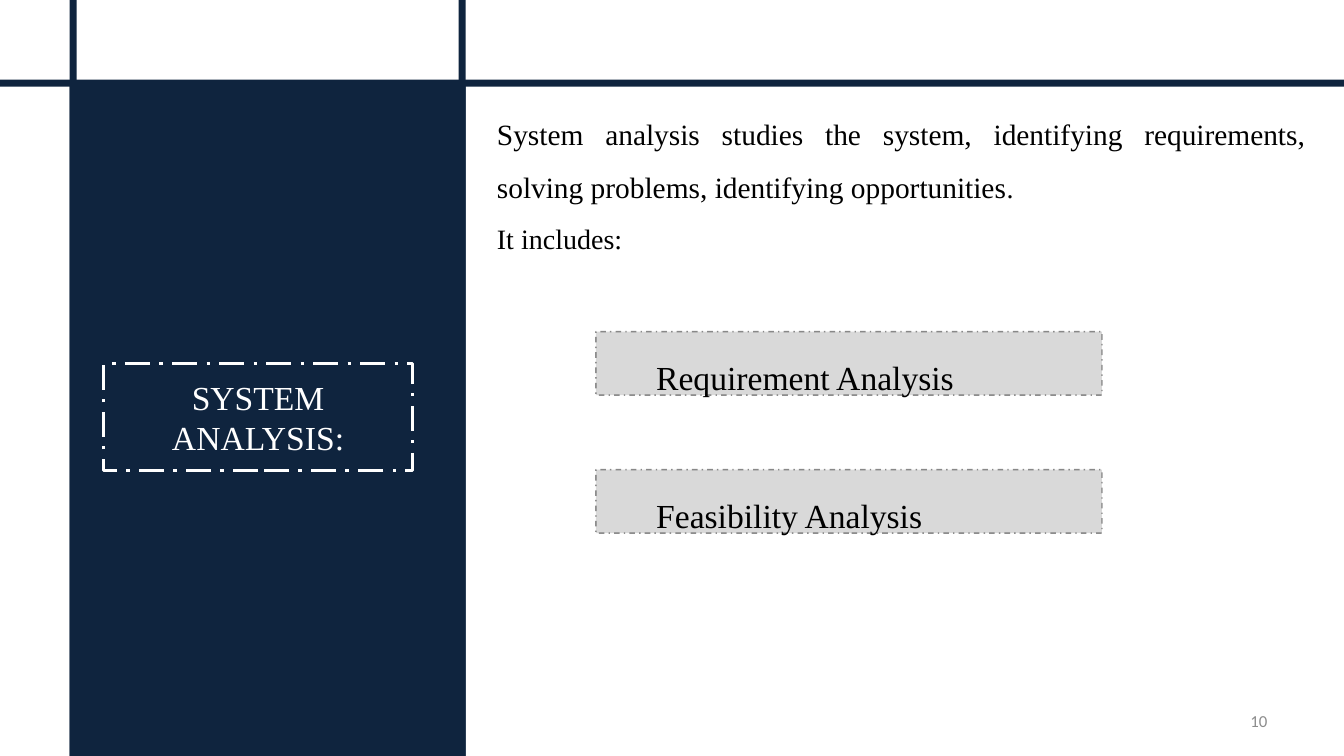
from lxml.etree import SubElement
from pptx import Presentation
from pptx.dml.color import RGBColor
from pptx.enum.dml import MSO_LINE
from pptx.enum.shapes import MSO_SHAPE
from pptx.enum.text import MSO_ANCHOR, MSO_AUTO_SIZE, PP_ALIGN
from pptx.oxml.ns import qn
from pptx.util import Inches, Pt

COLORS = {
    "navy": "0F243E",
    "white": "FFFFFF",
    "black": "000000",
    "box": "D9D9D9",
    "box_line": "0D0D0D",
    "number": "8C8C8C",
}
SERIF = "Times New Roman"
BAR = 0.07


def color(name):
    return RGBColor.from_string(COLORS[name])


def add_rectangle(slide, left, top, width, height, fill):
    shape = slide.shapes.add_shape(
        MSO_SHAPE.RECTANGLE, Inches(left), Inches(top), Inches(width), Inches(height)
    )
    shape.shadow.inherit = False
    shape.fill.solid()
    shape.fill.fore_color.rgb = color(fill)
    shape.line.fill.background()
    return shape


def set_outline(shape, line_color, width, dash):
    shape.line.color.rgb = color(line_color)
    shape.line.width = Pt(width)
    shape.line.dash_style = dash


def set_frame(shape, anchor):
    frame = shape.text_frame
    frame.word_wrap = True
    frame.auto_size = MSO_AUTO_SIZE.NONE
    frame.vertical_anchor = anchor
    return frame


def write(paragraph, runs, alignment, font_color="black", font_name=SERIF, spacing=1.0):
    """Fill a paragraph with (text, size) runs."""
    paragraph.alignment = alignment
    paragraph.line_spacing = spacing
    for text, size in runs:
        run = paragraph.add_run()
        run.text = text
        run.font.size = Pt(size)
        run.font.name = font_name
        run.font.color.rgb = color(font_color)


def add_text_box(slide, left, top, width, height, anchor):
    box = slide.shapes.add_textbox(
        Inches(left), Inches(top), Inches(width), Inches(height)
    )
    return set_frame(box, anchor)


def add_title(slide, text):
    title = slide.shapes.title
    title.left, title.top = Inches(1.03), Inches(3.61)
    title.width, title.height = Inches(3.06), Inches(1.06)
    set_outline(title, "white", 2.25, MSO_LINE.LONG_DASH_DOT)
    frame = set_frame(title, MSO_ANCHOR.MIDDLE)
    write(frame.paragraphs[0], [(text, 24)], PP_ALIGN.CENTER, "white")
    # Bring the title in front of the navy panel
    title.element.getparent().append(title.element)


def add_analysis_box(slide, top, text):
    box = add_rectangle(slide, 5.91, top, 5.02, 0.63, "box")
    set_outline(box, "box_line", 1, MSO_LINE.DASH_DOT)
    line_color = box.line.fill.fore_color and box.element.spPr.find(
        f"{qn('a:ln')}/{qn('a:solidFill')}/{qn('a:srgbClr')}"
    )
    SubElement(line_color, qn("a:alpha"), val="46000")
    frame = set_frame(box, MSO_ANCHOR.TOP)
    write(frame.paragraphs[0], [("\t" + text, 24)], PP_ALIGN.JUSTIFY, spacing=1.5)


def main():
    presentation = Presentation()
    presentation.slide_width = Inches(13.33)
    presentation.slide_height = Inches(7.5)
    slide = presentation.slides.add_slide(presentation.slide_layouts[5])

    add_rectangle(slide, 0.69, 0.85, 3.93, 6.65, "navy")
    add_rectangle(slide, 0, 0.79, 13.33, BAR, "navy")
    for left in (0.69, 4.55):
        add_rectangle(slide, left, 0, BAR, 7.5, "navy")
    add_title(slide, "SYSTEM ANALYSIS:")

    body = add_text_box(slide, 4.83, 0.93, 8.22, 1.61, MSO_ANCHOR.TOP)
    definition = (
        "System analysis studies the system, identifying requirements, "
        "solving problems, identifying opportunities"
    )
    write(body.paragraphs[0], [(definition, 21), (".", 20)], PP_ALIGN.JUSTIFY, spacing=1.5)
    write(body.add_paragraph(), [("It includes:", 20)], PP_ALIGN.JUSTIFY, spacing=1.5)

    for index, name in enumerate(("Requirement Analysis", "Feasibility Analysis")):
        add_analysis_box(slide, 3.29 + 1.37 * index, name)

    number = add_text_box(slide, 9.56, 6.95, 3.11, 0.4, MSO_ANCHOR.MIDDLE)
    write(number.paragraphs[0], [("10", 12)], PP_ALIGN.RIGHT, "number", "Calibri")

    presentation.save("out.pptx")


if __name__ == "__main__":
    main()
